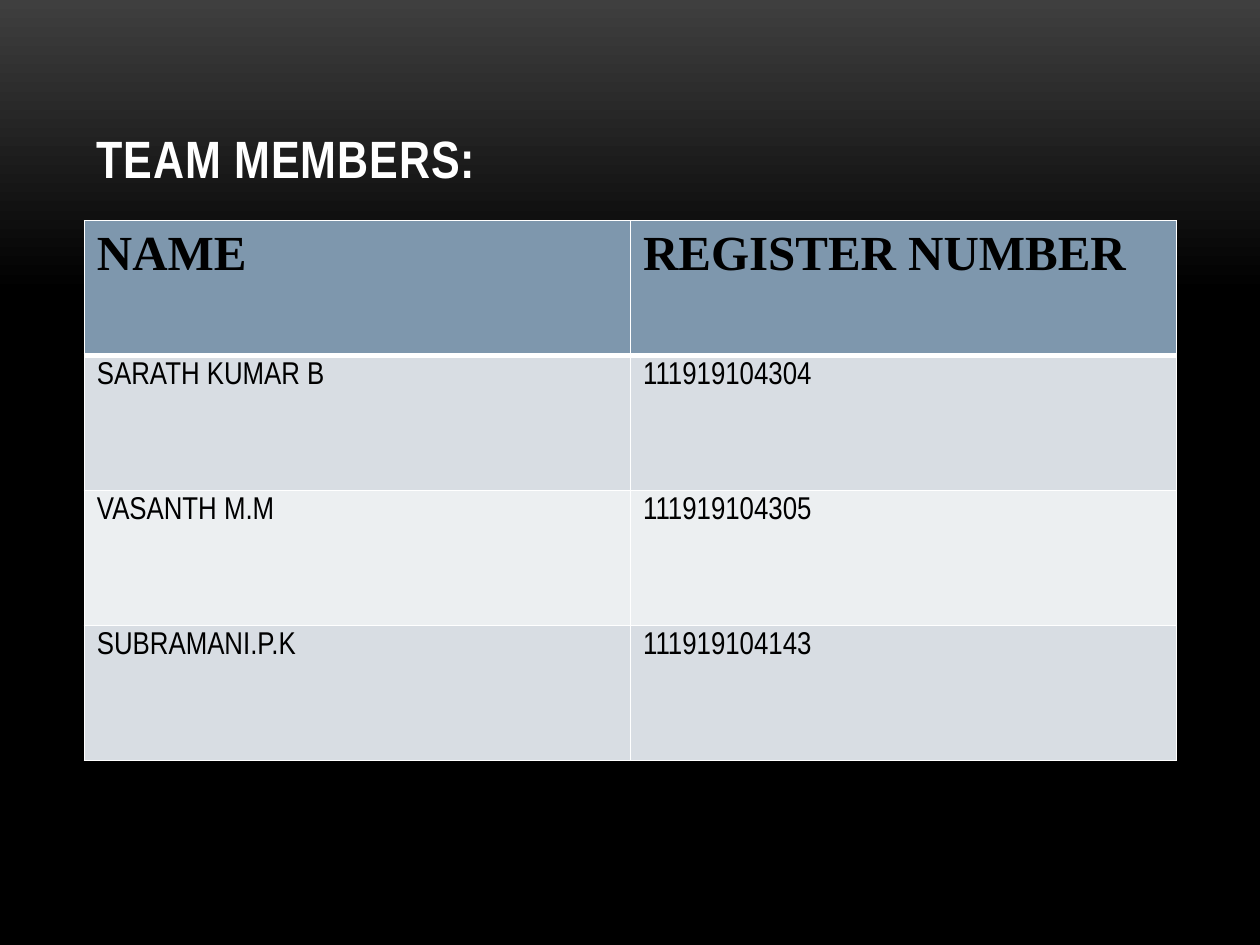
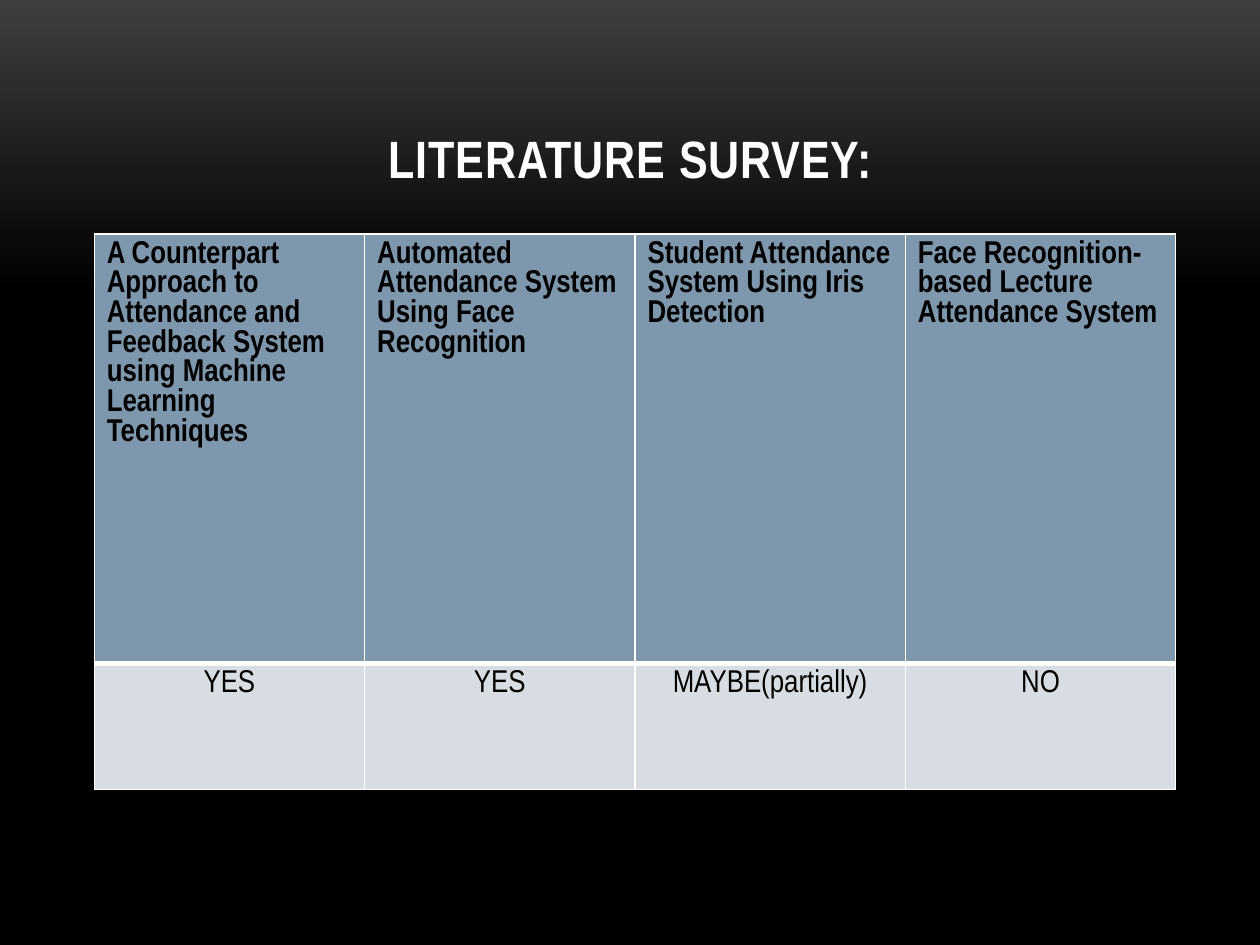
from copy import deepcopy
from dataclasses import dataclass

from lxml.etree import SubElement
from pptx import Presentation
from pptx.dml.color import RGBColor
from pptx.enum.text import MSO_ANCHOR, PP_ALIGN
from pptx.oxml.ns import qn
from pptx.slide import Slide
from pptx.table import _Cell
from pptx.util import Cm, Pt

COLORS = {
    "white": "FFFFFF",
    "black": "000000",
    "glow": "3F3F3F",
    "header": "7E97AD",
    "band_dark": "D8DDE3",
    "band_light": "ECEFF1",
}
BODY_FONT = "Arial Narrow"
THIN_BORDER = 1
HEADER_BORDER = 3


@dataclass(frozen=True)
class TableSlide:
    title: str
    title_alignment: PP_ALIGN
    left: float
    top: float
    width: float
    row_heights: tuple[float, ...]
    rows: tuple[tuple[str, ...], ...]
    header_font: str
    header_size: int
    body_alignment: PP_ALIGN


TABLE_SLIDES = (
    TableSlide(
        title="TEAM MEMBERS:",
        title_alignment=PP_ALIGN.LEFT,
        left=1.7,
        top=4.45,
        width=22.02,
        row_heights=(2.72,) * 4,
        rows=(
            ("NAME", "REGISTER NUMBER"),
            ("SARATH KUMAR B", "111919104304"),
            ("VASANTH M.M", "111919104305"),
            ("SUBRAMANI.P.K", "111919104143"),
        ),
        header_font="Times New Roman",
        header_size=28,
        body_alignment=PP_ALIGN.LEFT,
    ),
    TableSlide(
        title="LITERATURE SURVEY:",
        title_alignment=PP_ALIGN.CENTER,
        left=1.9,
        top=4.72,
        width=21.8,
        row_heights=(8.66, 2.54),
        rows=(
            (
                "A Counterpart Approach to Attendance and Feedback System "
                "using Machine Learning Techniques",
                "Automated Attendance System Using Face Recognition",
                "Student Attendance System Using Iris Detection",
                "Face Recognition-based Lecture Attendance System",
            ),
            ("YES", "YES", "MAYBE(partially)", "NO"),
        ),
        header_font=BODY_FONT,
        header_size=18,
        body_alignment=PP_ALIGN.CENTER,
    ),
)


def color(name: str) -> RGBColor:
    return RGBColor.from_string(COLORS[name])


def style_paragraph(paragraph, font_name: str, size: int, color_name: str,
                    bold: bool, alignment: PP_ALIGN) -> None:
    paragraph.alignment = alignment
    font = paragraph.font
    font.name = font_name
    font.size = Pt(size)
    font.bold = bold
    font.color.rgb = color(color_name)


def paint_background(slide: Slide) -> None:
    fill = slide.background.fill
    fill.gradient()
    fill.gradient_angle = 270
    for stop, name, position in zip(fill.gradient_stops, ("glow", "black"), (0, 0.31)):
        stop.color.rgb = color(name)
        stop.position = position
    stop_list = slide.element.find(".//" + qn("a:gsLst"))
    last_stop = deepcopy(stop_list[-1])
    last_stop.set("pos", "100000")
    stop_list.append(last_stop)


def add_title(slide: Slide, text: str, alignment: PP_ALIGN) -> None:
    text_box = slide.shapes.add_textbox(Cm(1.7), Cm(0.76), Cm(22.02), Cm(3.18))
    text_frame = text_box.text_frame
    text_frame.word_wrap = True
    text_frame.vertical_anchor = MSO_ANCHOR.BOTTOM
    paragraph = text_frame.paragraphs[0]
    run = paragraph.add_run()
    run.text = text
    run._r.get_or_add_rPr().set("spc", "50")
    style_paragraph(paragraph, BODY_FONT, 30, "white", True, alignment)


def add_borders(cell: _Cell, top: int, bottom: int) -> None:
    properties = cell._tc.get_or_add_tcPr()
    widths = {"a:lnL": THIN_BORDER, "a:lnR": THIN_BORDER, "a:lnT": top, "a:lnB": bottom}
    for tag, width in widths.items():
        line = SubElement(properties, qn(tag), w=str(Pt(width)))
        line_fill = SubElement(line, qn("a:solidFill"))
        SubElement(line_fill, qn("a:srgbClr"), val=COLORS["white"])


def fill_cell(cell: _Cell, text: str, row_index: int, content: TableSlide) -> None:
    is_header = row_index == 0
    add_borders(
        cell,
        top=HEADER_BORDER if row_index == 1 else THIN_BORDER,
        bottom=HEADER_BORDER if is_header else THIN_BORDER,
    )
    band = "band_dark" if row_index % 2 else "band_light"
    cell.fill.solid()
    cell.fill.fore_color.rgb = color("header" if is_header else band)
    cell.text = text
    paragraph = cell.text_frame.paragraphs[0]
    if is_header:
        style_paragraph(paragraph, content.header_font, content.header_size,
                        "black", True, PP_ALIGN.LEFT)
    else:
        style_paragraph(paragraph, BODY_FONT, 18, "black", False, content.body_alignment)


def add_content_table(slide: Slide, content: TableSlide) -> None:
    column_count = len(content.rows[0])
    table = slide.shapes.add_table(
        len(content.rows), column_count, Cm(content.left), Cm(content.top),
        Cm(content.width), Cm(sum(content.row_heights)),
    ).table
    for column in table.columns:
        column.width = Cm(content.width / column_count)
    for row_index, (height, texts) in enumerate(zip(content.row_heights, content.rows)):
        table.rows[row_index].height = Cm(height)
        for column_index, text in enumerate(texts):
            fill_cell(table.cell(row_index, column_index), text, row_index, content)


def main() -> None:
    presentation = Presentation()
    presentation.slide_width = Cm(25.4)
    presentation.slide_height = Cm(19.05)
    blank_layout = presentation.slide_layouts[6]
    for content in TABLE_SLIDES:
        slide = presentation.slides.add_slide(blank_layout)
        paint_background(slide)
        add_title(slide, content.title, content.title_alignment)
        add_content_table(slide, content)
    presentation.save("out.pptx")


if __name__ == "__main__":
    main()
